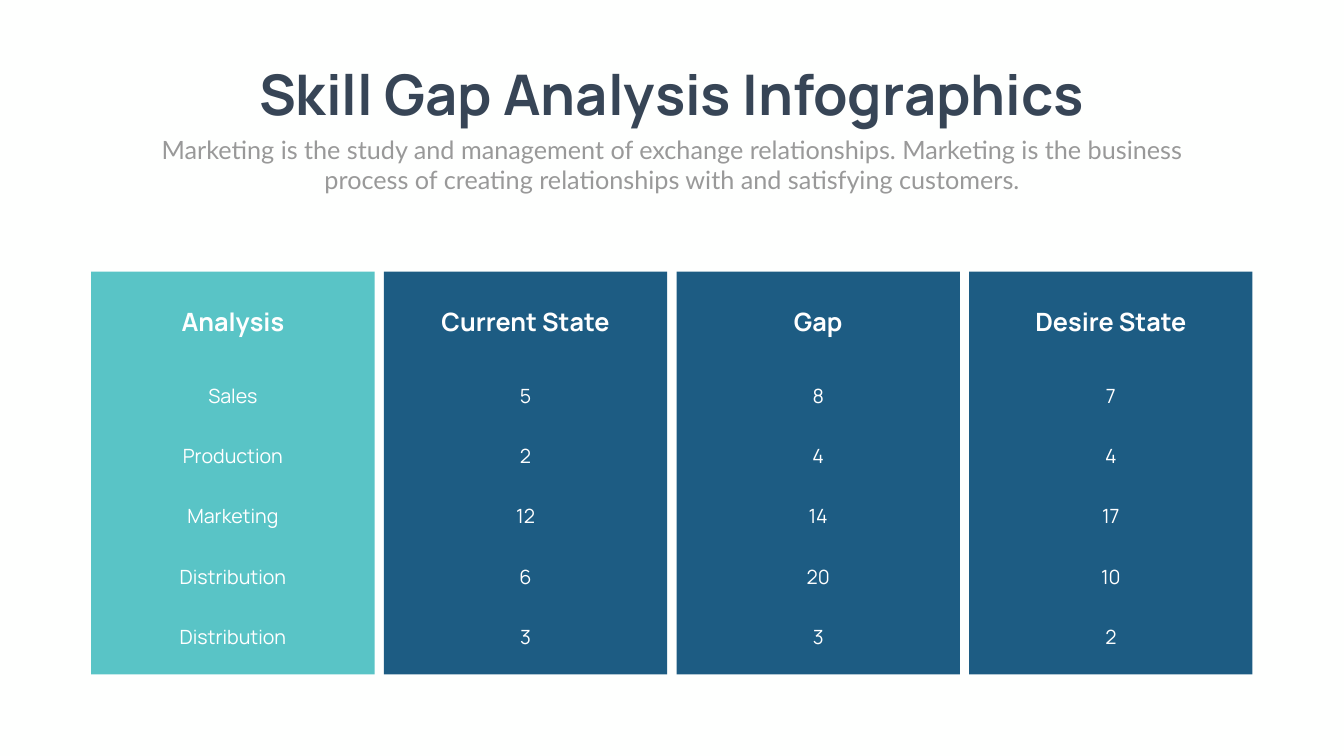
"""Build the skill gap analysis slide with four coloured columns."""
from pptx import Presentation
from pptx.dml.color import RGBColor
from pptx.enum.shapes import MSO_SHAPE
from pptx.enum.text import MSO_AUTO_SIZE, PP_ALIGN
from pptx.util import Inches, Pt

RECT = MSO_SHAPE.RECTANGLE
CENTER = PP_ALIGN.CENTER
GROW = MSO_AUTO_SIZE.SHAPE_TO_FIT_TEXT

COLORS = {
    "background": "FEFFFE",
    "title": "374556",
    "subtitle": "999999",
    "label": "59C4C6",
    "state": "1D5C83",
    "white": "FFFFFF",
}

SLIDE_W, SLIDE_H = 26.66, 15
COL_LEFT, COL_TOP = 1.81, 5.39
COL_W, COL_H, COL_STEP = 5.62, 7.99, 5.805
CELL_W, CELL_INSET = 3.7, 0.06
HEAD_TOP, HEAD_H = 6.02, 0.72
ROW_TOP, ROW_H, ROW_STEP = 7.55, 0.58, 1.1975

COLUMNS = [
    ("Analysis", "label", ["Sales", "Production", "Marketing", "Distribution", "Distribution"]),
    ("Current State", "state", ["5", "2", "12", "6", "3"]),
    ("Gap", "state", ["8", "4", "14", "20", "3"]),
    ("Desire State", "state", ["7", "4", "17", "10", "2"]),
]


def add_text(text, left, top, width, height, size=28, font="Manrope",
             color="white", bold=False, wrap=True, inset=None):
    tb = s.shapes.add_textbox(Inches(left), Inches(top), Inches(width), Inches(height))
    tf = tb.text_frame
    tf.word_wrap = wrap
    tf.auto_size = GROW
    if inset is not None:
        tf.margin_left = tf.margin_right = Inches(inset)
        tf.margin_top = tf.margin_bottom = Inches(inset)
    p = tf.paragraphs[0]
    p.alignment = CENTER
    r = p.add_run()
    r.text = text
    r.font.size = Pt(size)
    r.font.name = font
    r.font.bold = bold
    r.font.color.rgb = RGBColor.from_string(COLORS[color])


prs = Presentation()
prs.slide_width = Inches(SLIDE_W)
prs.slide_height = Inches(SLIDE_H)
s = prs.slides.add_slide(prs.slide_layouts[6])
s.background.fill.solid()
s.background.fill.fore_color.rgb = RGBColor.from_string(COLORS["background"])

title_w, subtitle_w = 18.01, 20.82
add_text("Skill Gap Analysis Infographics", (SLIDE_W - title_w) / 2, 1.14, title_w, 1.45,
         size=80, color="title", bold=True, wrap=False)
add_text("Marketing is the study and management of exchange relationships. "
         "Marketing is the business process of creating relationships with "
         "and satisfying customers.",
         (SLIDE_W - subtitle_w) / 2, 2.61, subtitle_w, 1.31,
         size=36, font="Lato", color="subtitle")

for col, (heading, color, values) in enumerate(COLUMNS):
    left = COL_LEFT + col * COL_STEP
    cell_left = left + (COL_W - CELL_W) / 2
    sp = s.shapes.add_shape(RECT, Inches(left), Inches(COL_TOP), Inches(COL_W), Inches(COL_H))
    sp.shadow.inherit = False
    sp.fill.solid()
    sp.fill.fore_color.rgb = RGBColor.from_string(COLORS[color])
    sp.line.fill.background()
    add_text(heading, cell_left, HEAD_TOP, CELL_W, HEAD_H,
             size=36, bold=True, inset=CELL_INSET)
    for row, value in enumerate(values):
        add_text(value, cell_left, ROW_TOP + row * ROW_STEP, CELL_W, ROW_H, inset=CELL_INSET)

prs.save("out.pptx")
